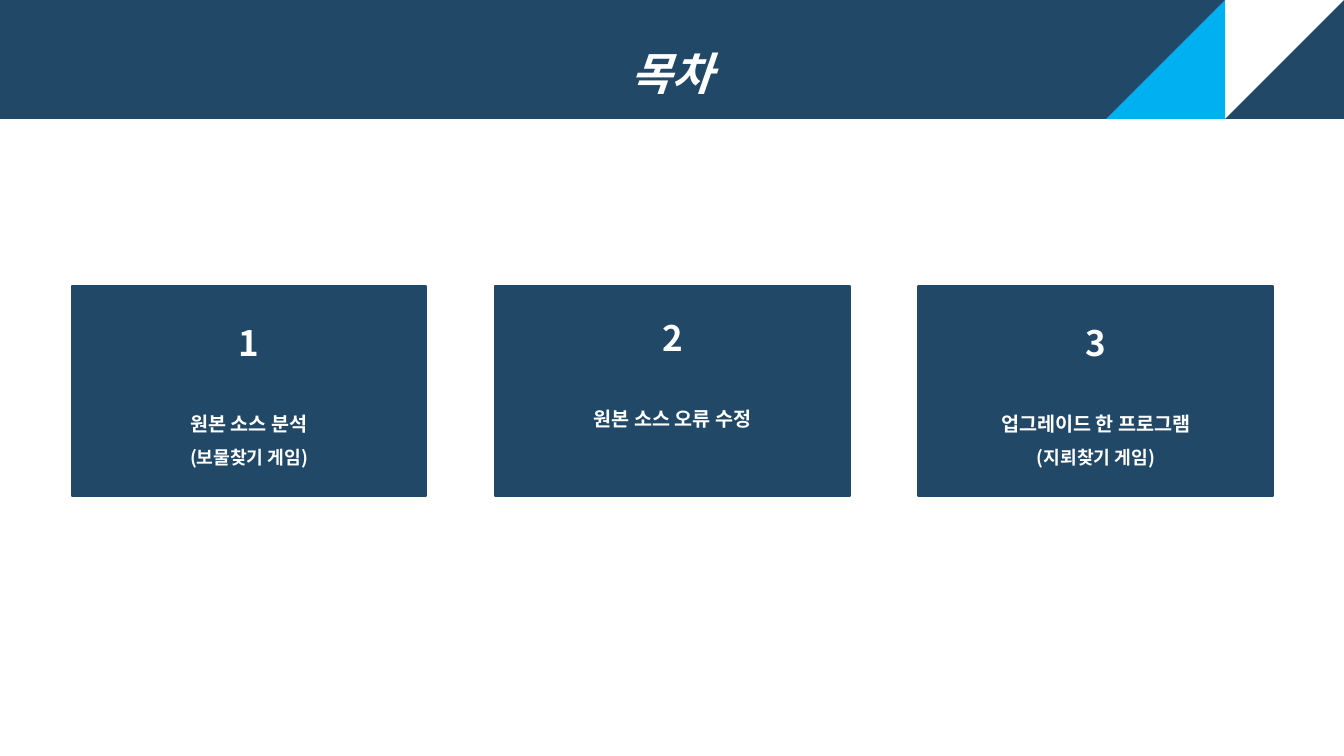
from pptx import Presentation
from pptx.dml.color import RGBColor
from pptx.enum.shapes import MSO_SHAPE
from pptx.enum.text import MSO_ANCHOR, PP_ALIGN
from pptx.util import Inches, Pt

RECTANGLE = MSO_SHAPE.RECTANGLE
TRIANGLE = MSO_SHAPE.RIGHT_TRIANGLE
CENTER = PP_ALIGN.CENTER
MIDDLE, BOTTOM = MSO_ANCHOR.MIDDLE, MSO_ANCHOR.BOTTOM

TITLE = "목차"
CARDS = [
    ("1", "원본 소스 분석", "(보물찾기 게임)"),
    ("2", "원본 소스 오류 수정", None),
    ("3", "업그레이드 한 프로그램", "(지뢰찾기 게임)"),
]

THEME = {
    "font": "Noto Sans CJK KR",
    "navy": RGBColor(0x21, 0x48, 0x67),
    "sky": RGBColor(0x00, 0xB0, 0xF0),
    "white": RGBColor(0xFF, 0xFF, 0xFF),
    "title": 32,
    "number": 25,
    "label": 14,
    "note": 13,
}

SLIDE_WIDTH, SLIDE_HEIGHT = 13.33, 7.5
BANNER_HEIGHT = 1.18
CARD_LEFT, CARD_TOP, CARD_WIDTH, CARD_HEIGHT = 0.71, 2.84, 3.52, 2.08
CARD_PITCH = 4.2
CARD_BOTTOM_INSET = 0.28
NOTE_LINE_HEIGHT = 0.37
NUMBER_GAP = 26


def add_filled_shape(slide, kind, left, top, width, height, color):
    shape = slide.shapes.add_shape(
        kind, Inches(left), Inches(top), Inches(width), Inches(height))
    shape.shadow.inherit = False
    shape.fill.solid()
    shape.fill.fore_color.rgb = THEME[color]
    shape.line.fill.background()
    return shape


def write_lines(shape, lines, anchor):
    """Fill a shape with (text, size name) lines in bold white."""
    frame = shape.text_frame
    frame.word_wrap = True
    frame.vertical_anchor = anchor
    for index, (text, size) in enumerate(lines):
        paragraph = frame.add_paragraph() if index else frame.paragraphs[0]
        paragraph.text = text
        paragraph.alignment = CENTER
        paragraph.line_spacing = 1.5
        paragraph.font.name = THEME["font"]
        paragraph.font.size = Pt(THEME[size])
        paragraph.font.bold = True
        paragraph.font.color.rgb = THEME["white"]
    return frame


def add_banner(slide):
    banner = add_filled_shape(
        slide, RECTANGLE, 0, 0, SLIDE_WIDTH, BANNER_HEIGHT, "navy")
    frame = write_lines(banner, [(TITLE, "title")], MIDDLE)
    frame.paragraphs[0].font.italic = True
    for steps_from_right, rotation, color in [(1, 90, "white"), (2, 270, "sky")]:
        left = SLIDE_WIDTH - steps_from_right * BANNER_HEIGHT
        triangle = add_filled_shape(
            slide, TRIANGLE, left, 0, BANNER_HEIGHT, BANNER_HEIGHT, color)
        triangle.rotation = rotation


def add_card(slide, left, number, label, note):
    card = add_filled_shape(
        slide, RECTANGLE, left, CARD_TOP, CARD_WIDTH, CARD_HEIGHT, "navy")
    card.line.color.rgb = THEME["navy"]
    card.line.width = Pt(1.5)
    lines = [(number, "number"), (label, "label")]
    bottom_inset = CARD_BOTTOM_INSET
    if note:
        lines.append((note, "note"))
    else:
        bottom_inset += NOTE_LINE_HEIGHT
    frame = write_lines(card, lines, BOTTOM)
    frame.margin_bottom = Inches(bottom_inset)
    frame.paragraphs[0].space_after = Pt(NUMBER_GAP)


def main():
    presentation = Presentation()
    presentation.slide_width = Inches(SLIDE_WIDTH)
    presentation.slide_height = Inches(SLIDE_HEIGHT)
    slide = presentation.slides.add_slide(presentation.slide_layouts[6])
    add_banner(slide)
    for index, card in enumerate(CARDS):
        add_card(slide, CARD_LEFT + index * CARD_PITCH, *card)
    presentation.save("out.pptx")


if __name__ == "__main__":
    main()
